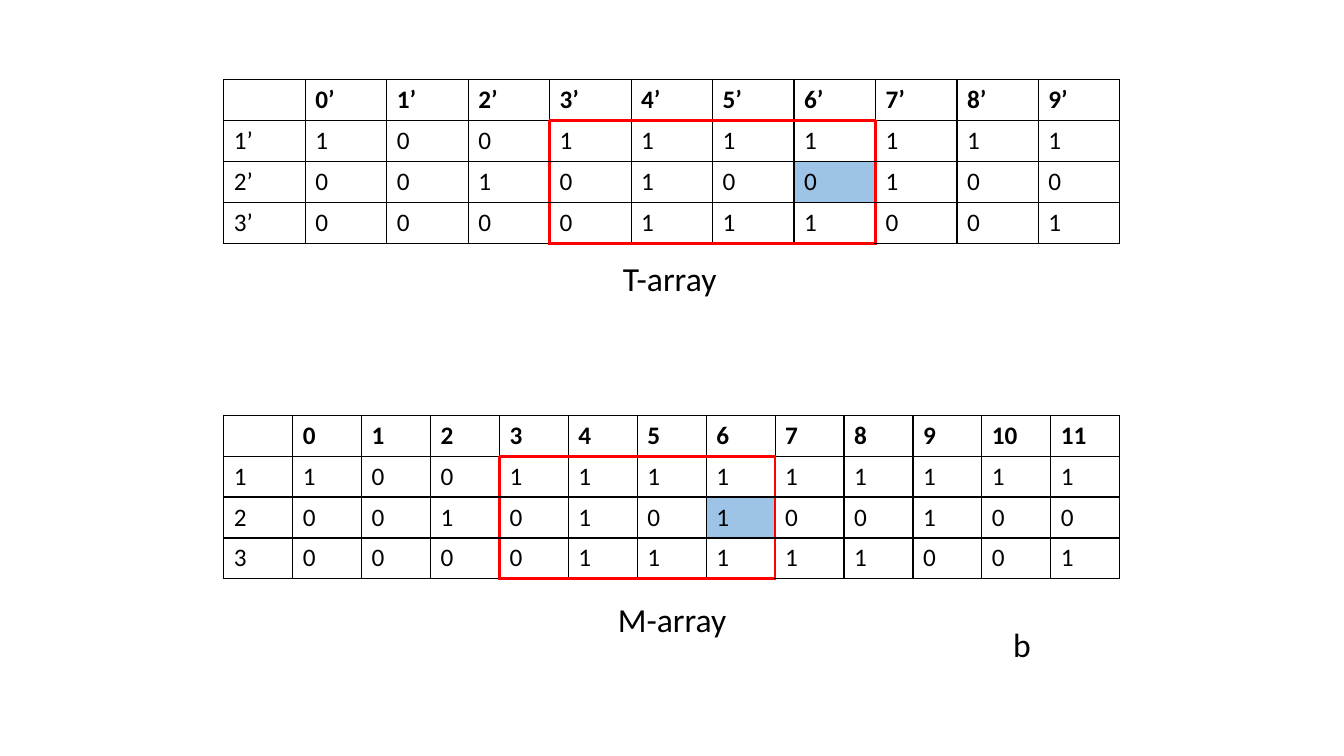
import pptx
import pptx.dml.color
import pptx.enum.text
import pptx.oxml
import pptx.oxml.ns
import pptx.util
from pptx.util import Inches

BLACK = pptx.dml.color.RGBColor(0x00, 0x00, 0x00)
RED = pptx.dml.color.RGBColor(0xFF, 0x00, 0x00)
BLUE = pptx.dml.color.RGBColor(0x9D, 0xC3, 0xE6)
FONT = "Calibri"
TABLE_LEFT, TABLE_WIDTH, TABLE_HEIGHT = 2.22, 8.89, 1.62
WINDOW_ROWS, WINDOW_COLUMNS = range(1, 4), range(4, 8)
CHANGED_CELL = (2, 7)
SIDES = {"lnL": (0, -1), "lnR": (0, 1), "lnT": (-1, 0), "lnB": (1, 0)}


def add_span(para, text, size, bold=False):
    """Add one formatted run to a paragraph."""
    span = para.add_run()
    span.text = text
    span.font.name = FONT
    span.font.size = pptx.util.Pt(size)
    span.font.bold = bold
    span.font.color.rgb = BLACK


def draw_borders(cell, row, column):
    """Draw the cell's borders, red where they bound the window."""
    def in_window(r, c):
        return r in WINDOW_ROWS and c in WINDOW_COLUMNS

    properties = cell._tc.get_or_add_tcPr()
    for position, (side, (down, across)) in enumerate(SIDES.items()):
        edge = in_window(row, column) != in_window(row + down, column + across)
        color, width = (RED, 2.25) if edge else (BLACK, 1)
        line = pptx.oxml.parse_xml(
            f'<a:{side} {pptx.oxml.ns.nsdecls("a")} w="{pptx.util.Pt(width)}">'
            f'<a:solidFill><a:srgbClr val="{color}"/></a:solidFill>'
            f'<a:prstDash val="solid"/></a:{side}>')
        properties.insert(position, line)


deck = pptx.Presentation()
deck.slide_width = Inches(13.33)
deck.slide_height = Inches(7.5)
page = deck.slides.add_slide(deck.slide_layouts[6])

# Each array: top edge, mark after its labels, bits of its rows
arrays = [
    (0.79, "\u2019", ["1001111111", "0010100100", "0000111001"]),
    (4.12, "", ["100111111111", "001010100100", "000011111001"]),
]
for top, mark, bit_rows in arrays:
    header = [""] + [f"{index}{mark}" for index in range(len(bit_rows[0]))]
    rows = [header] + [[f"{number}{mark}", *bits]
                       for number, bits in enumerate(bit_rows, 1)]
    grid = page.shapes.add_table(
        len(rows), len(header), Inches(TABLE_LEFT), Inches(top),
        Inches(TABLE_WIDTH), Inches(TABLE_HEIGHT)).table
    grid.first_row = grid.horz_banding = False
    for row, texts in enumerate(rows):
        for column, text in enumerate(texts):
            cell = grid.cell(row, column)
            if (row, column) == CHANGED_CELL:
                cell.fill.solid()
                cell.fill.fore_color.rgb = BLUE
            else:
                cell.fill.background()
            draw_borders(cell, row, column)
            if text:
                add_span(cell.text_frame.paragraphs[0], text, 18, bold=row == 0)

captions = [
    ("T-array", 6.08, 2.51, 1.17),
    ("M-array", 6.03, 5.89, 1.28),
    ("b", 9.95, 6.14, 0.32),
]
for text, left, top, width in captions:
    box = page.shapes.add_textbox(
        Inches(left), Inches(top), Inches(width), Inches(0.5))
    box.text_frame.word_wrap = False
    box.text_frame.auto_size = pptx.enum.text.MSO_AUTO_SIZE.SHAPE_TO_FIT_TEXT
    add_span(box.text_frame.paragraphs[0], text, 24)

deck.save("out.pptx")
